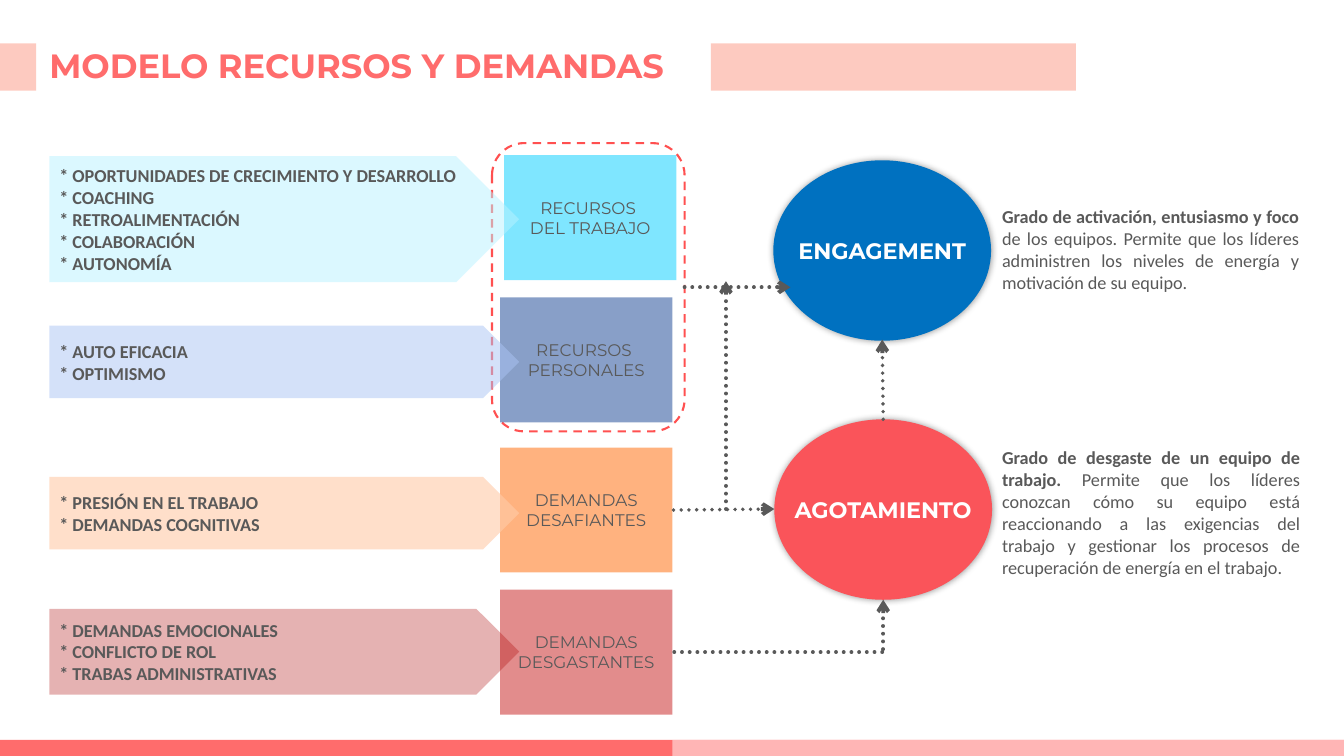
"""Build the slide on the resources and demands model."""
from lxml import etree
from pptx import Presentation
from pptx.dml.color import RGBColor
from pptx.enum.dml import MSO_LINE
from pptx.enum.shapes import MSO_CONNECTOR, MSO_SHAPE
from pptx.enum.text import MSO_ANCHOR, MSO_AUTO_SIZE, PP_ALIGN
from pptx.oxml.ns import qn
from pptx.util import Pt

RECT, ROUNDED = MSO_SHAPE.RECTANGLE, MSO_SHAPE.ROUNDED_RECTANGLE
ELLIPSE, PENTAGON = MSO_SHAPE.OVAL, MSO_SHAPE.PENTAGON
STRAIGHT = MSO_CONNECTOR.STRAIGHT
DASH, DOT = MSO_LINE.DASH, MSO_LINE.ROUND_DOT
TOP, MIDDLE = MSO_ANCHOR.TOP, MSO_ANCHOR.MIDDLE
LEFT, CENTER, JUSTIFY = PP_ALIGN.LEFT, PP_ALIGN.CENTER, PP_ALIGN.JUSTIFY
GROW = MSO_AUTO_SIZE.SHAPE_TO_FIT_TEXT

CORAL = RGBColor(0xFF, 0x6C, 0x6C)
PEACH = RGBColor(0xFD, 0x97, 0x83)
GRAY = RGBColor(0x59, 0x59, 0x59)
WHITE = RGBColor(0xFF, 0xFF, 0xFF)
DASH_RED = RGBColor(0xFF, 0x50, 0x50)
CYAN = RGBColor(0x00, 0xCF, 0xFF)
NAVY = RGBColor(0x13, 0x41, 0x93)
ORANGE = RGBColor(0xFF, 0x66, 0x00)
DARK_RED = RGBColor(0xC0, 0x00, 0x00)
PALE_CYAN = RGBColor(0xB9, 0xF2, 0xFF)
PALE_BLUE = RGBColor(0xAA, 0xC4, 0xF4)
PALE_ORANGE = RGBColor(0xFF, 0xCB, 0xA7)
WINE = RGBColor(0xAC, 0x00, 0x00)
BLUE = RGBColor(0x00, 0x71, 0xC0)
RED = RGBColor(0xFA, 0x54, 0x5A)

HEADING, BODY = "Montserrat", "Calibri"
PX = 9144
WIDTH, HEIGHT = 1333, 750
TITLE = "MODELO RECURSOS Y DEMANDAS"

BANDS = [
    ((0, 734, WIDTH, 16), CORAL, 100),
    ((667, 734, 667, 16), WHITE, 50),
    ((705, 43, 362, 47), PEACH, 50),
    ((0, 43, 36, 47), PEACH, 50),
]
FACTORS = [
    (500, 154, CYAN, 50, ["RECURSOS ", "DEL TRABAJO"]),
    (496, 295, NAVY, 50, ["RECURSOS ", "PERSONALES"]),
    (496, 444, ORANGE, 50, ["DEMANDAS DESAFIANTES"]),
    (496, 585, DARK_RED, 45, ["DEMANDAS DESGASTANTES"]),
]
EXAMPLES = [
    (155, 125, PALE_CYAN, 50, [
        "* OPORTUNIDADES DE CRECIMIENTO Y DESARROLLO", "* COACHING",
        "* RETROALIMENTACIÓN", "* COLABORACIÓN", "* AUTONOMÍA"]),
    (323, 72, PALE_BLUE, 50, ["* AUTO EFICACIA", "* OPTIMISMO"]),
    (473, 72, PALE_ORANGE, 60, [
        "* PRESIÓN EN EL TRABAJO", "* DEMANDAS COGNITIVAS"]),
    (604, 85, WINE, 30, [
        "* DEMANDAS EMOCIONALES", "* CONFLICTO DE ROL",
        "* TRABAS ADMINISTRATIVAS"]),
]
OUTCOMES = [
    (767, 159, BLUE, "ENGAGEMENT"),
    (768, 416, RED, "AGOTAMIENTO"),
]
DEFINITIONS = [
    ((984, 199, 314, 98), 0, "Grado de activación, entusiasmo y foco",
     " de los equipos. Permite que los líderes administren los niveles de "
     "energía y motivación de su equipo."),
    ((984, 438, 315, 141), 6, "Grado de desgaste de un equipo de trabajo. ",
     "Permite que los líderes conozcan cómo su equipo está reaccionando a las "
     "exigencias del trabajo y gestionar los procesos de recuperación de "
     "energía en el trabajo."),
]
LINKS = [
    ((875, 647), (668, 647), False),
    ((876, 644), (876, 595), True),
    ((876, 416), (875, 337), True),
    ((679, 285), (784, 285), True),
    ((720, 505), (720, 279), True),
    ((668, 506), (768, 505), True),
]


def scaled(lengths):
    return [length * PX for length in lengths]


def add_panel(slide, kind, box, color=None, opacity=100):
    shape = slide.shapes.add_shape(kind, *scaled(box))
    shape.shadow.inherit = False
    shape.line.fill.background()
    if color is None:
        shape.fill.background()
        return shape
    shape.fill.solid()
    shape.fill.fore_color.rgb = color
    if opacity < 100:
        color_node = shape._element.spPr.find(".//" + qn("a:srgbClr"))
        etree.SubElement(color_node, qn("a:alpha"), val=str(opacity * 1000))
    return shape


def add_glow(shape):
    effects = shape._element.spPr.find(qn("a:effectLst"))
    shadow = etree.SubElement(effects, qn("a:outerShdw"), blurRad=str(Pt(5)),
                              dist="0", dir="0", algn="ctr", rotWithShape="0")
    color_node = etree.SubElement(shadow, qn("a:srgbClr"), val="000000")
    etree.SubElement(color_node, qn("a:alpha"), val="40000")


def write(shape, paragraphs, font, size, color, align, anchor=MIDDLE, wrap=True, wide=False):
    """Write paragraphs given as lists of (text, bold) runs."""
    frame = shape.text_frame
    frame.word_wrap = wrap
    frame.vertical_anchor = anchor
    if wide:
        frame.margin_left = frame.margin_right = 13 * PX
        frame.margin_top = frame.margin_bottom = 7 * PX
    for index, runs in enumerate(paragraphs):
        paragraph = frame.add_paragraph() if index else frame.paragraphs[0]
        paragraph.alignment = align
        for text, bold in runs:
            run = paragraph.add_run()
            run.text = text
            run.font.name, run.font.size, run.font.bold = font, Pt(size), bold
            run.font.color.rgb = color
    return frame


def add_link(slide, start, end, arrow):
    link = slide.shapes.add_connector(STRAIGHT, *scaled(start + end))
    link.line.color.rgb = GRAY
    link.line.width = Pt(2.75)
    link.line.dash_style = DOT
    properties = link._element.spPr
    outline = properties.find(qn("a:ln"))
    outline.set("cap", "rnd")
    if arrow:
        etree.SubElement(outline, qn("a:tailEnd"), type="arrow")
    etree.SubElement(properties, qn("a:effectLst"))


def main():
    presentation = Presentation()
    presentation.slide_width, presentation.slide_height = scaled((WIDTH, HEIGHT))
    slide = presentation.slides.add_slide(presentation.slide_layouts[6])

    for box, color, opacity in BANDS:
        add_panel(slide, RECT, box, color, opacity)
    title = slide.shapes.add_textbox(*scaled((36, 25, 845, 84)))
    frame = write(title, [[(TITLE, True)]], HEADING, 24, CORAL, JUSTIFY, wide=True)
    frame.paragraphs[0].line_spacing = 0.9

    group = add_panel(slide, ROUNDED, (488, 142, 191, 286))
    group.line.color.rgb = DASH_RED
    group.line.width = Pt(1.5)
    group.line.dash_style = DASH

    for left, top, color, opacity, lines in FACTORS:
        factor = add_panel(slide, RECT, (left, top, 171, 124), color, opacity)
        write(factor, [[(line, False)] for line in lines], HEADING, 12, GRAY, CENTER)
    for top, height, color, opacity, lines in EXAMPLES:
        example = add_panel(slide, PENTAGON, (49, top, 466, height), color, opacity)
        write(example, [[(line, True)] for line in lines], BODY, 13, GRAY, LEFT)
    for left, top, color, name in OUTCOMES:
        outcome = add_panel(slide, ELLIPSE, (left, top, 216, 179), color)
        add_glow(outcome)
        write(outcome, [[(name, True)]], HEADING, 16, WHITE, CENTER, wrap=False, wide=True)
    for start, end, arrow in LINKS:
        add_link(slide, start, end, arrow)
    for box, space, lead, rest in DEFINITIONS:
        definition = slide.shapes.add_textbox(*scaled(box))
        frame = write(definition, [[(lead, True), (rest, False)]], BODY, 13, GRAY, JUSTIFY, TOP)
        frame.auto_size = GROW
        frame.paragraphs[0].space_after = Pt(space)

    presentation.save("out.pptx")


if __name__ == "__main__":
    main()
